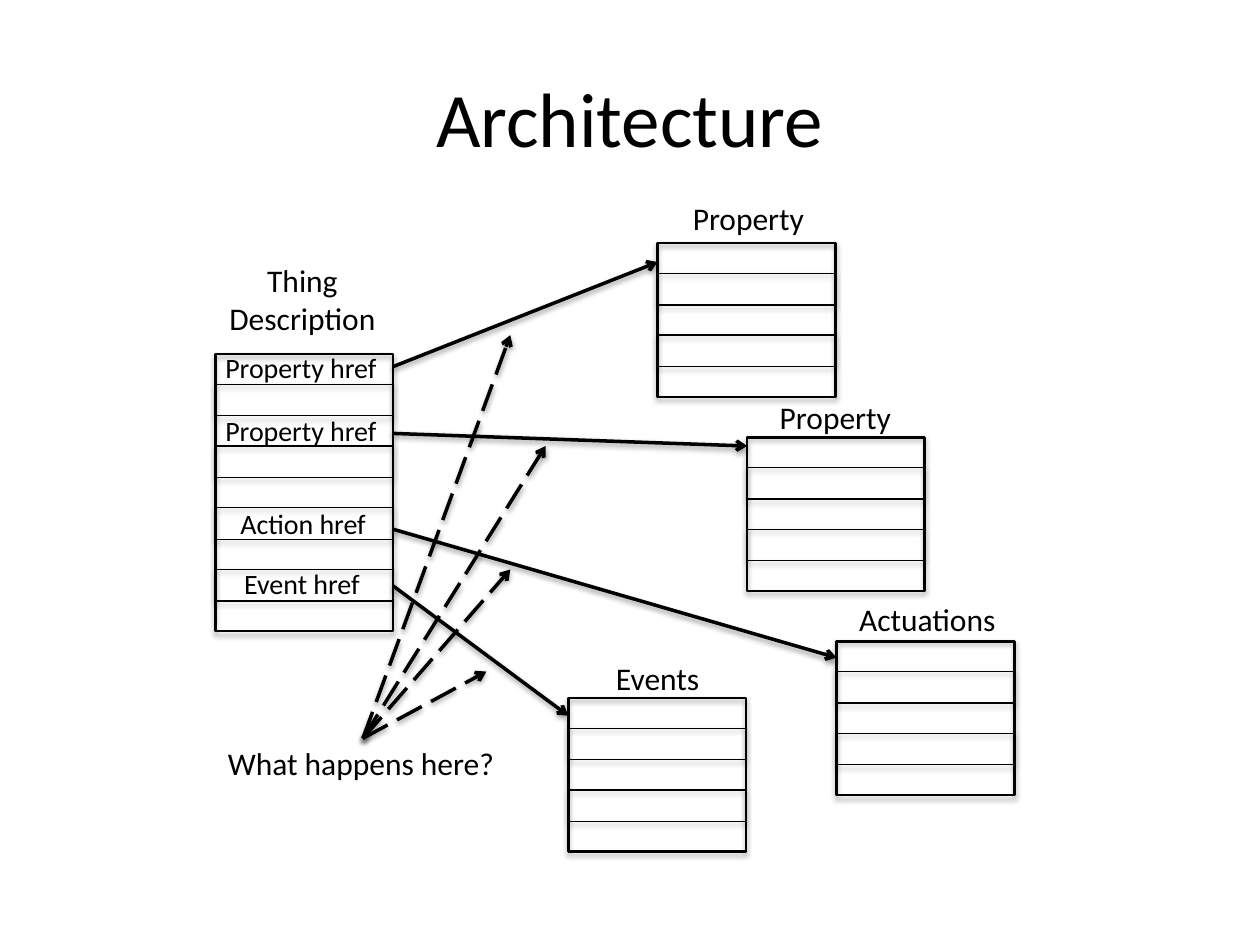
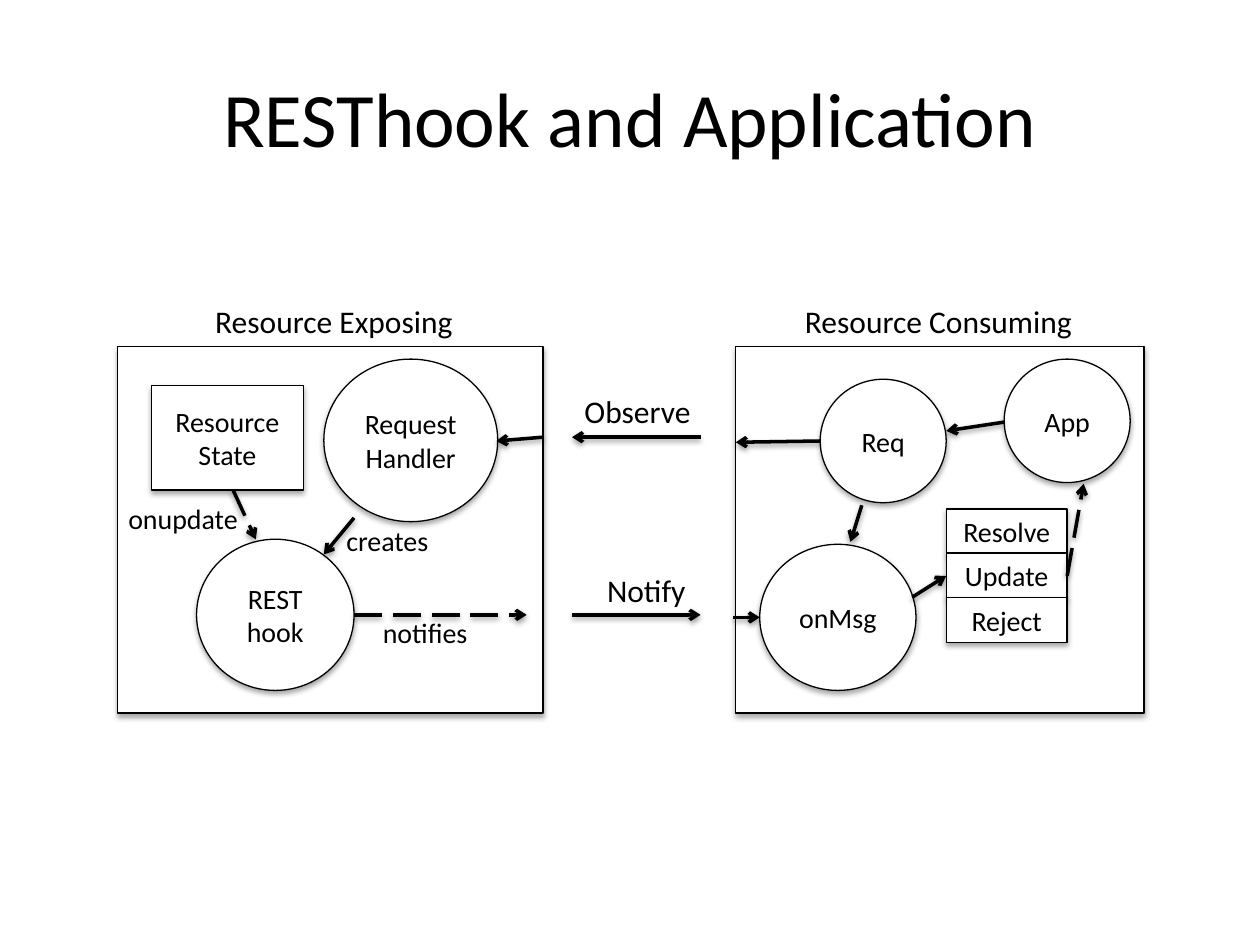
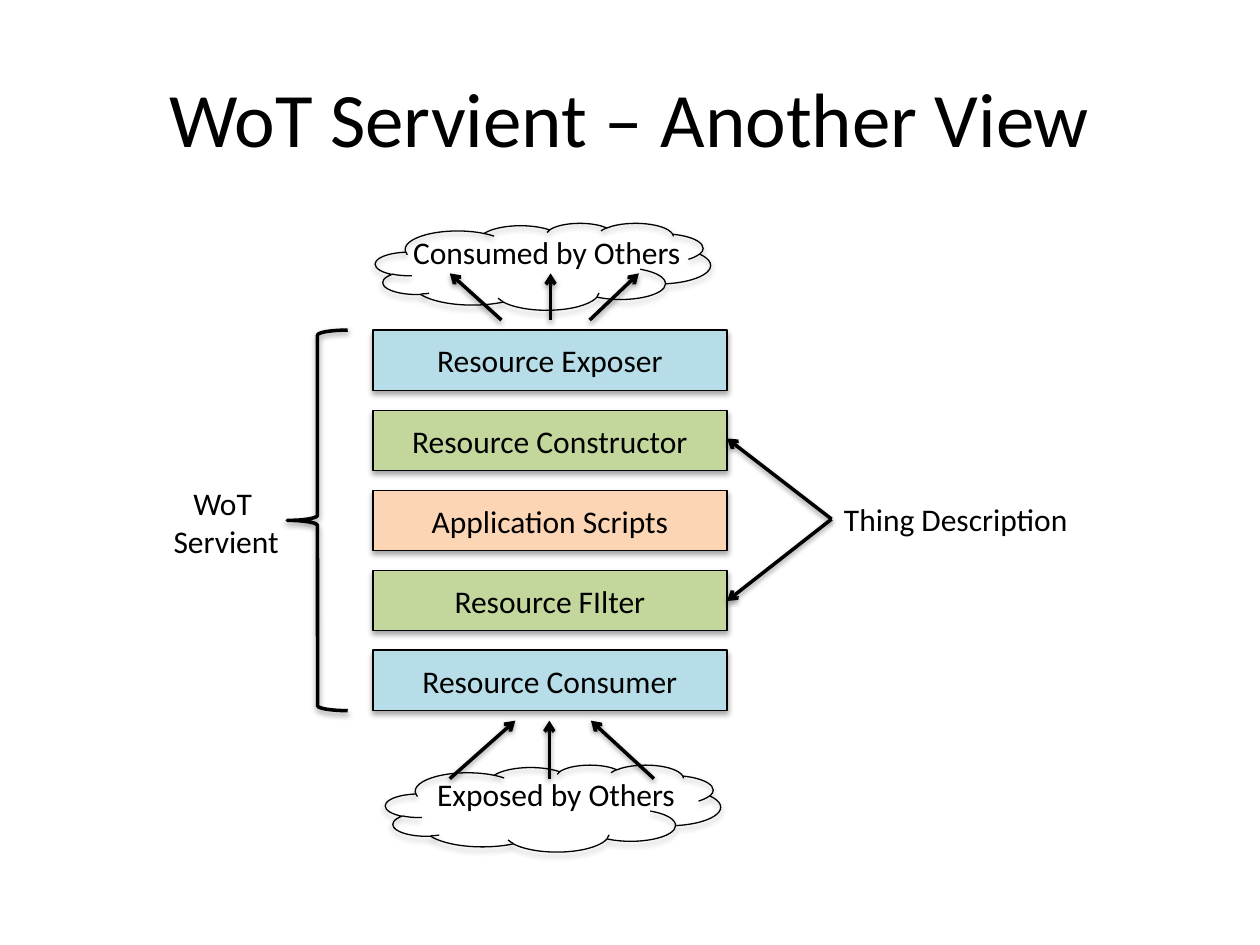
"""Three slides on the Web of Things: architecture, RESThook and servient layers."""
from pptx import Presentation
from pptx.dml.color import RGBColor
from pptx.enum.dml import MSO_LINE
from pptx.enum.shapes import MSO_CONNECTOR, MSO_SHAPE
from pptx.enum.text import MSO_ANCHOR, MSO_AUTO_SIZE, PP_ALIGN
from pptx.oxml import parse_xml
from pptx.oxml.ns import nsdecls, qn
from pptx.util import Inches, Pt

RECTANGLE, ELLIPSE = MSO_SHAPE.RECTANGLE, MSO_SHAPE.OVAL
CLOUD, BRACE = MSO_SHAPE.CLOUD, MSO_SHAPE.LEFT_BRACE
STRAIGHT, LONG_DASH = MSO_CONNECTOR.STRAIGHT, MSO_LINE.LONG_DASH
LEFT, CENTER = PP_ALIGN.LEFT, PP_ALIGN.CENTER
TOP, MIDDLE = MSO_ANCHOR.TOP, MSO_ANCHOR.MIDDLE
FIT_SHAPE = MSO_AUTO_SIZE.SHAPE_TO_FIT_TEXT

FONT = "Calibri"
BLACK, WHITE = "000000", "FFFFFF"
BLUE, GREEN, ORANGE = "B7DEE8", "C3D69B", "FCD5B5"
TITLE_BOX = (0.5, 0.3, 9, 1.25)
TITLE_SIZE, LARGE, SMALL = 44, 18, 16
THIN, MEDIUM, THICK = 0.75, 1.5, 2
SHADOW = (
    f'<a:effectLst {nsdecls("a")}>'
    '<a:outerShdw blurRad="40000" dist="%d" dir="5400000" rotWithShape="0">'
    '<a:srgbClr val="000000"><a:alpha val="%d"/></a:srgbClr>'
    '</a:outerShdw></a:effectLst>'
)
SHAPE_SHADOW, LINE_SHADOW = SHADOW % (23000, 35000), SHADOW % (20000, 38000)


def add_box(slide, box, text="", size=LARGE, kind=None, fill=None, width=THIN,
            align=CENTER, anchor=MIDDLE, wrap=True, shadow=SHAPE_SHADOW):
    """Add a preset shape, or a text box when no kind is given."""
    lengths = [Inches(value) for value in box]
    if kind is None:
        shape = slide.shapes.add_textbox(*lengths)
    else:
        shape = slide.shapes.add_shape(kind, *lengths)
        shape.line.color.rgb = RGBColor.from_string(BLACK)
        shape.line.width = Pt(width)
        if fill:
            shape.fill.solid()
            shape.fill.fore_color.rgb = RGBColor.from_string(fill)
        else:
            shape.fill.background()
        shape._element.spPr.append(parse_xml(shadow))
    if text:
        text_frame = shape.text_frame
        text_frame.text = text
        text_frame.word_wrap = wrap
        text_frame.vertical_anchor = anchor
        if not wrap:
            text_frame.auto_size = FIT_SHAPE
        for paragraph in text_frame.paragraphs:
            paragraph.alignment = align
            for run in paragraph.runs:
                run.font.name = FONT
                run.font.size = Pt(size)
                run.font.color.rgb = RGBColor.from_string(BLACK)


def add_arrow(slide, start, end, dash=None):
    """Add a shadowed straight arrow from start to end."""
    points = [Inches(value) for value in (*start, *end)]
    arrow = slide.shapes.add_connector(STRAIGHT, *points)
    arrow.line.color.rgb = RGBColor.from_string(BLACK)
    arrow.line.width = Pt(THICK)
    if dash:
        arrow.line.dash_style = dash
    properties = arrow._element.spPr
    properties.find(qn("a:ln")).append(
        parse_xml(f'<a:tailEnd {nsdecls("a")} type="arrow"/>'))
    properties.append(parse_xml(LINE_SHADOW))


presentation = Presentation()
presentation.slide_width = Inches(10)
presentation.slide_height = Inches(7.5)
slides = []
for title in ("Architecture", "RESThook and Application",
              "WoT Servient – Another View"):
    slide = presentation.slides.add_slide(presentation.slide_layouts[6])
    add_box(slide, TITLE_BOX, title, TITLE_SIZE)
    slides.append(slide)
architecture, resthook, servient = slides

# Architecture: striped records, linked from the thing description
RECORD_WIDTH, STRIPE_HEIGHT = 1.41, 0.25
FIRST_STRIPE, STRIPE_PITCH = 0.24, 0.49
for left, top, height, stripes in (
    (1.71, 2.81, 2.2, 4),
    (5.22, 1.93, 1.22, 2),
    (6.64, 5.09, 1.22, 2),
    (4.51, 5.54, 1.22, 2),
    (5.93, 3.47, 1.22, 2),
):
    add_box(architecture, (left, top, RECORD_WIDTH, height),
            kind=RECTANGLE, width=MEDIUM)
    for index in range(stripes):
        stripe_top = top + FIRST_STRIPE + index * STRIPE_PITCH
        add_box(architecture, (left, stripe_top, RECORD_WIDTH, STRIPE_HEIGHT),
                kind=RECTANGLE)

for start_y, end in ((2.91, (5.22, 2.08)), (3.44, (5.93, 3.54)),
                     (4.2, (6.64, 5.22)), (4.65, (4.51, 5.68))):
    add_arrow(architecture, (3.12, start_y), end)

add_box(architecture, (1.71, 2.02, 1.38, 0.71), "Thing Description", anchor=TOP)
for text, left, top, width, size in (
    ("Property href", 1.69, 2.73, 1.43, SMALL),
    ("Property href", 1.69, 3.23, 1.43, SMALL),
    ("Action href", 1.81, 3.97, 1.21, SMALL),
    ("Event href", 1.84, 4.45, 1.14, SMALL),
    ("Property", 5.4, 1.53, 1.1, LARGE),
    ("Property", 6.09, 3.11, 1.1, LARGE),
    ("Actuations", 6.72, 4.71, 1.3, LARGE),
    ("Events", 4.79, 5.18, 0.88, LARGE),
    ("What happens here?", 1.71, 5.86, 2.34, LARGE),
):
    height = 0.4 if size == LARGE else 0.37
    add_box(architecture, (left, top, width, height), text, size,
            align=LEFT, anchor=TOP, wrap=False)

for end in ((4.05, 2.66), (4.33, 3.54), (4.05, 4.52), (3.86, 5.33)):
    add_arrow(architecture, (2.88, 5.86), end, LONG_DASH)

# RESThook: the exposing and the consuming side
for left, width in ((0.93, 3.38), (5.84, 3.24)):
    add_box(resthook, (left, 2.75, width, 2.91), kind=RECTANGLE, fill=WHITE)

for text, kind, box in (
    ("Request Handler", ELLIPSE, (2.57, 2.85, 1.38, 1.29)),
    ("REST hook", ELLIPSE, (1.56, 4.28, 1.25, 1.2)),
    ("Resource State", RECTANGLE, (1.2, 3.06, 1.21, 0.83)),
    ("Req", ELLIPSE, (6.51, 3.01, 1, 0.98)),
    ("onMsg", ELLIPSE, (6.03, 4.32, 1.24, 1.16)),
    ("App", ELLIPSE, (7.97, 2.85, 1, 0.98)),
):
    add_box(resthook, box, text, SMALL, kind, WHITE)
for index, text in enumerate(("Resolve", "Update", "Reject")):
    add_box(resthook, (7.51, 4.04 + index * 0.35, 0.96, 0.36), text, SMALL,
            RECTANGLE, WHITE)

for start, end, dash in (
    ((5.56, 3.47), (4.54, 3.47), None),
    ((4.54, 4.88), (5.56, 4.88), None),
    ((4.31, 3.47), (3.94, 3.5), None),
    ((2.81, 4.88), (4.18, 4.88), LONG_DASH),
    ((2.81, 4.11), (2.57, 4.4), None),
    ((1.85, 3.89), (2.03, 4.28), LONG_DASH),
    ((7.97, 3.35), (7.51, 3.42), None),
    ((6.51, 3.5), (5.84, 3.51), None),
    ((6.84, 4.01), (6.75, 4.3), None),
    ((7.24, 4.74), (7.51, 4.57), LONG_DASH),
    ((8.47, 4.57), (8.6, 3.84), LONG_DASH),
    ((5.82, 4.9), (6.03, 4.9), LONG_DASH),
):
    add_arrow(resthook, start, end, dash)

for text, left, top, width, size in (
    ("Resource Exposing", 1.61, 2.35, 2.11, LARGE),
    ("Resource Consuming", 6.29, 2.35, 2.35, LARGE),
    ("Observe", 4.54, 3.06, 1.05, LARGE),
    ("Notify", 4.72, 4.48, 0.83, LARGE),
    ("creates", 2.65, 4.11, 0.87, SMALL),
    ("notifies", 2.94, 4.84, 0.88, SMALL),
    ("onupdate", 0.92, 3.93, 1.09, SMALL),
):
    height = 0.4 if size == LARGE else 0.37
    add_box(resthook, (left, top, width, height), text, size,
            align=LEFT, anchor=TOP, wrap=False)

# Servient: a stack of layers between two clouds
LAYERS = (
    ("Resource Exposer", BLUE),
    ("Resource Constructor", GREEN),
    ("Application Scripts", ORANGE),
    ("Resource FIlter", GREEN),
    ("Resource Consumer", BLUE),
)
STACK_TOP, LAST_TOP = 2.62, 5.16
layer_pitch = (LAST_TOP - STACK_TOP) / (len(LAYERS) - 1)
for index, (text, fill) in enumerate(LAYERS):
    add_box(servient, (2.96, STACK_TOP + index * layer_pitch, 2.81, 0.48), text,
            kind=RECTANGLE, fill=fill)
add_box(servient, (2.28, STACK_TOP, 0.48, 3.02), kind=BRACE, width=THICK,
        shadow=LINE_SHADOW)

add_box(servient, (1.27, 3.79, 1.05, 0.71), "WoT \nServient", anchor=TOP,
        wrap=False)
for text, left, top, width in (
    ("Thing Description", 6.6, 3.92, 2),
    ("Consumed by Others", 3.18, 1.8, 2.35),
    ("Exposed by Others", 3.37, 6.1, 2.11),
):
    add_box(servient, (left, top, width, 0.4), text, align=LEFT, anchor=TOP,
            wrap=False)

for end_y in (3.48, 4.77):
    add_arrow(servient, (6.6, 4.12), (5.77, end_y))
for start_x, end_x in ((5.19, 4.69), (3.57, 4.09), (4.36, 4.36)):
    add_arrow(servient, (start_x, 6.18), (end_x, 5.72))
for start_x, end_x in ((4.37, 4.37), (4.68, 5.07), (3.98, 3.57)):
    add_arrow(servient, (start_x, 2.54), (end_x, 2.17))
for left, top in ((2.98, 1.77), (3.06, 6.07)):
    add_box(servient, (left, top, 2.66, 0.69), kind=CLOUD)

presentation.save("out.pptx")
